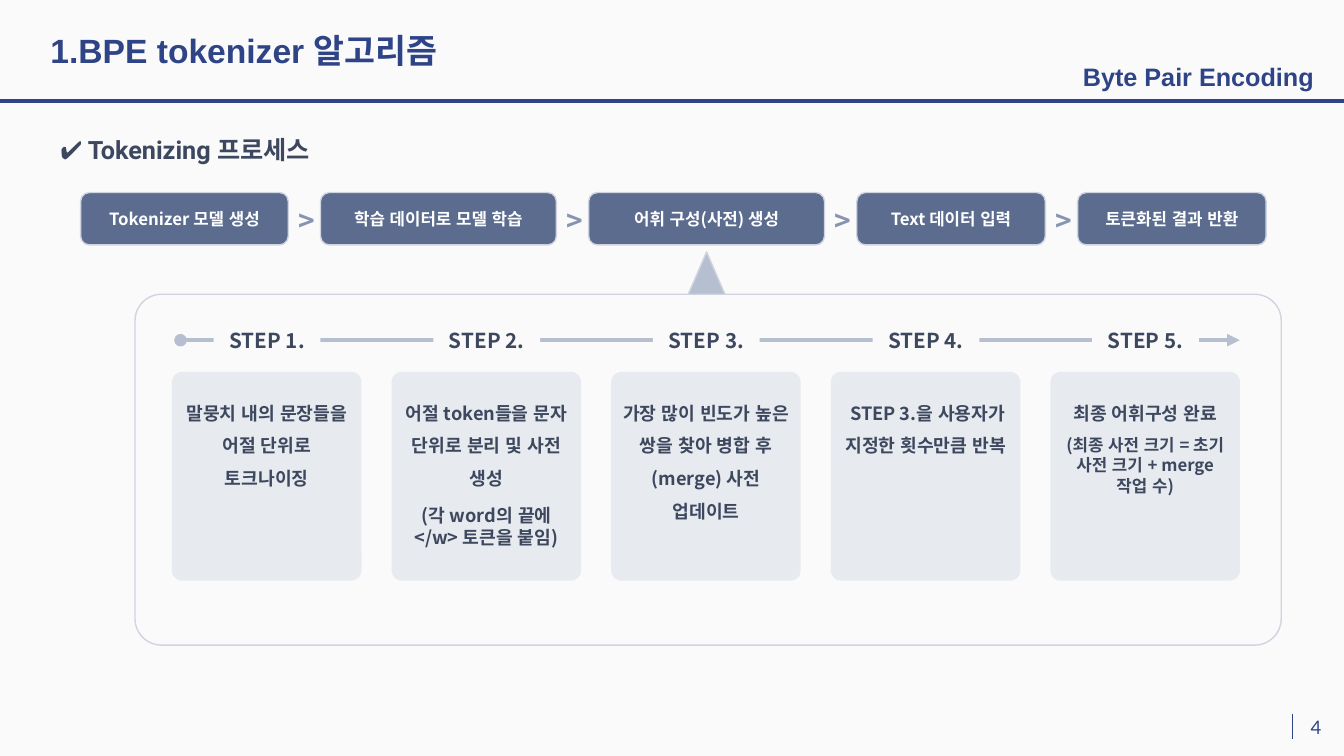
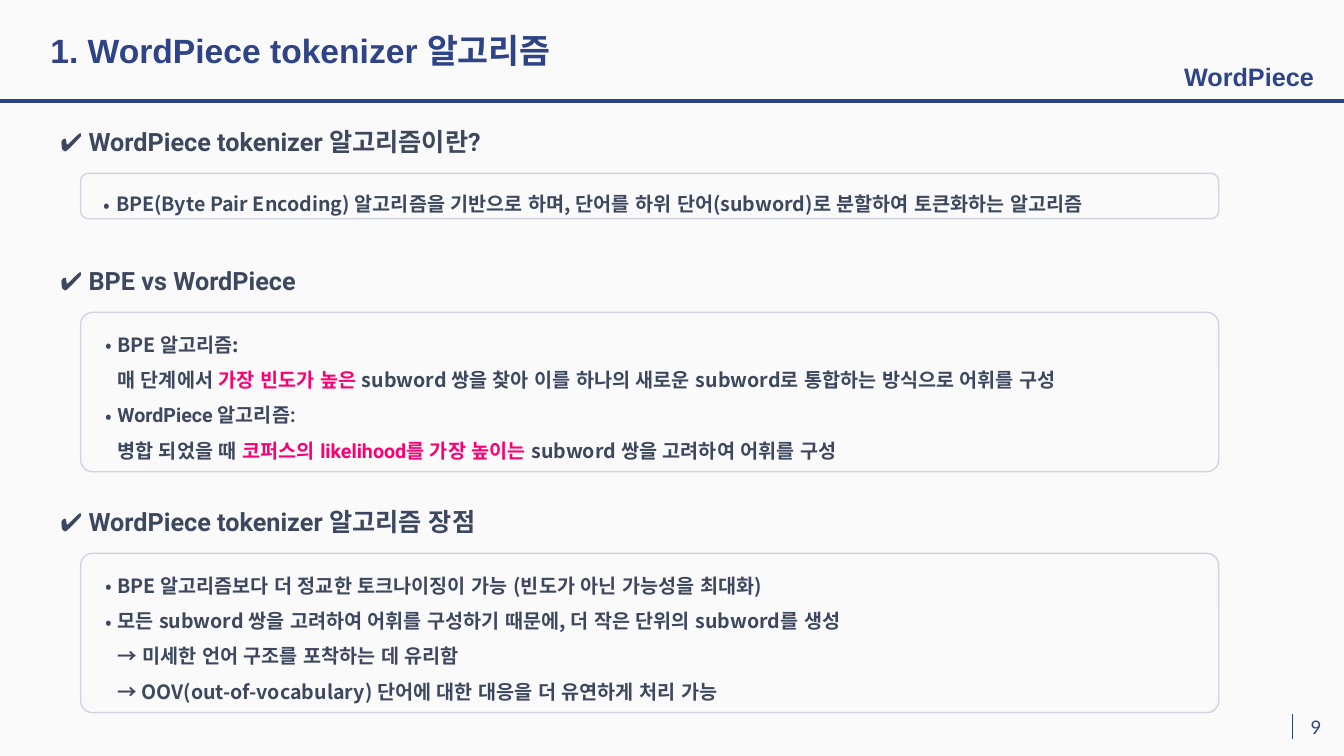
"""Builds two slides on the BPE and WordPiece tokenizer algorithms."""
from lxml.etree import SubElement
from pptx import Presentation
from pptx.dml.color import RGBColor
from pptx.enum.lang import MSO_LANGUAGE_ID as LANG
from pptx.enum.shapes import MSO_CONNECTOR as CONN, MSO_SHAPE as SHAPE
from pptx.enum.text import MSO_ANCHOR as ANCHOR, PP_ALIGN as ALIGN
from pptx.oxml.ns import qn
from pptx.util import Inches, Pt

NAVY, INK, SLATE, MIST = "2E4486", "3D485F", "5B6C8E", "B6BFD0"
EDGE, CARD, PAPER, PINK, WHITE = "CFD4E0", "E7EAEF", "FAFAFA", "FB0073", "FFFFFF"
SANS = "Noto Sans CJK KR"
rgb = RGBColor.from_string

prs = Presentation()
prs.slide_width, prs.slide_height = Inches(13.33), Inches(7.5)
COL, ROW = prs.slide_width / 100, prs.slide_height / 100
bg = prs.slide_master.background.fill
bg.solid()
bg.fore_color.rgb = rgb(PAPER)


def box(s, x, y, w, h, kind=None, fill=None, line=None, adj=None,
        ins=(0.1, 0.05, 0.1, 0.05), anchor=ANCHOR.TOP, wrap=True):
    at = int(x * COL), int(y * ROW), int(w * COL), int(h * ROW)
    if kind is None:
        sp = s.shapes.add_textbox(*at)
    else:
        sp = s.shapes.add_shape(kind, *at)
        sp.shadow.inherit = False
        if adj:
            sp.adjustments[0] = adj
        if fill:
            sp.fill.solid()
            sp.fill.fore_color.rgb = rgb(fill)
        else:
            sp.fill.background()
        if line:
            sp.line.color.rgb = rgb(line)
            sp.line.width = Pt(1)
        else:
            sp.line.fill.background()
    tf = sp.text_frame
    tf.word_wrap, tf.vertical_anchor = wrap, anchor
    tf.margin_left, tf.margin_top, tf.margin_right, tf.margin_bottom = map(Inches, ins)
    return tf


def say(tf, runs, size, color=INK, font=SANS, bold=True, align=ALIGN.LEFT,
        spacing=1.0, before=0):
    p = tf.paragraphs[0]
    if p.runs:
        p = tf.add_paragraph()
    p.alignment, p.line_spacing, p.space_before = align, spacing, Pt(before)
    for text, *style in runs:
        run_color, run_font = (style + [color, font][len(style):])
        r = p.add_run()
        r.text = text
        f = r.font
        f.size, f.bold, f.name, f.language_id = Pt(size), bold, run_font, LANG.KOREAN
        f.color.rgb = rgb(run_color)
        SubElement(r._r.get_or_add_rPr(), qn("a:ea"), typeface=SANS)
    return p


pages = [
    ("1.BPE tokenizer 알고리즘", "Byte Pair Encoding", "4",
     [(17.07, "✔ Tokenizing 프로세스")]),
    ("1. WordPiece tokenizer 알고리즘", "WordPiece", "9",
     [(16, "✔ WordPiece tokenizer 알고리즘이란?"),
      (34.4, "✔ BPE vs WordPiece"),
      (66.27, "✔ WordPiece tokenizer 알고리즘 장점")]),
]
rules = [(0, 13.33, 100, 13.33, 3), (96.2, 94.4, 96.2, 97.73, 0.75)]

for title, topic, number, headings in pages:
    s = prs.slides.add_slide(prs.slide_layouts[6])
    for x1, y1, x2, y2, width in rules:
        ln = s.shapes.add_connector(CONN.STRAIGHT, int(x1 * COL), int(y1 * ROW),
                                    int(x2 * COL), int(y2 * ROW)).line
        ln.color.rgb, ln.width = rgb(NAVY), Pt(width)
    tf = box(s, 94.7, 92.4, 4.6, 7.6, ins=(0.13,) * 4, anchor=ANCHOR.MIDDLE)
    say(tf, [(number,)], 13.3, NAVY, "Lato", False, ALIGN.RIGHT)
    tf = box(s, 3.75, 0.4, 44.3, 12.5, ins=(0,) * 4, anchor=ANCHOR.MIDDLE)
    say(tf, [(title,)], 24, NAVY, "Arial")
    tf = box(s, 78.5, 7.47, 20, 5.33)
    say(tf, [(topic,)], 18, NAVY, "Arial", align=ALIGN.RIGHT)
    for y, heading in headings:
        say(box(s, 3.75, y, 49.7, 5.33), [(heading,)], 18, font="Roboto")

process, compare = prs.slides

stages = [("Tokenizer 모델 생성", 15.45), ("학습 데이터로 모델 학습", 17.55),
          ("어휘 구성(사전) 생성", 17.55), ("Text 데이터 입력", 14.03),
          ("토큰화된 결과 반환", 14.03)]
x, gap = 6, 2.4
for i, (label, w) in enumerate(stages):
    if i:
        tf = box(process, x - gap, 26.27, gap, 5.87, wrap=False)
        say(tf, [(">",)], 20, "8694B1", align=ALIGN.CENTER)
    tf = box(process, x, 25.47, w, 6.93, SHAPE.FLOWCHART_ALTERNATE_PROCESS,
             SLATE, EDGE, anchor=ANCHOR.MIDDLE)
    say(tf, [(label,)], 12, WHITE, align=ALIGN.CENTER)
    x += w + gap

box(process, 50.63, 33.33, 3.9, 8, SHAPE.ISOSCELES_TRIANGLE, MIST, EDGE)
box(process, 10.05, 38.93, 85.28, 46.4, SHAPE.ROUNDED_RECTANGLE, PAPER, EDGE, 0.075)
ln = process.shapes.add_connector(CONN.STRAIGHT, int(13.43 * COL), int(45 * ROW),
                                  int(92.25 * COL), int(45 * ROW)).line
ln.color.rgb, ln.width = rgb(MIST), Pt(3)
for tag, end in (("a:headEnd", "oval"), ("a:tailEnd", "triangle")):
    SubElement(ln._ln, qn(tag), type=end)

steps = [
    [("말뭉치 내의 문장들을 어절 단위로 토크나이징", 13, 1.5, 0)],
    [("어절 token들을 문자 단위로 분리 및 사전 생성", 13, 1.5, 0),
     ("(각 word의 끝에 </w> 토큰을 붙임)", 13, 1, 11)],
    [("가장 많이 빈도가 높은 쌍을 찾아 병합 후(merge) 사전 업데이트", 13, 1.5, 0)],
    [(" STEP 3.을 사용자가 지정한 횟수만큼 반복", 13, 1.5, 0)],
    [("최종 어휘구성 완료", 13, 1.5, 0),
     ("(최종 사전 크기 = 초기 사전 크기 + merge 작업 수)", 12, 1, 8)],
]
for i, lines in enumerate(steps):
    x = 12.8 + i * 16.34
    tf = box(process, x, 49.2, 14.1, 27.6, SHAPE.ROUNDED_RECTANGLE, CARD, adj=0.053,
             ins=(0.08, 0.16, 0.08, 0.05))
    for text, size, spacing, before in lines:
        say(tf, [(text,)], size, align=ALIGN.CENTER, spacing=spacing, before=before)
    tf = box(process, x + 3.1, 42.67, 7.95, 4.67, SHAPE.RECTANGLE, PAPER)
    say(tf, [(f"STEP {i + 1}.",)], 14.7, align=ALIGN.CENTER)

panels = [
    (22.93, 6, 0.162, [
        (True, [("BPE(Byte Pair Encoding) 알고리즘을 기반으로 하며, 단어를 하위 단어(subword)로 "
                 "분할하여 토큰화하는 알고리즘",)])]),
    (41.33, 21.07, 0.075, [
        (True, [("BPE 알고리즘:",)]),
        (False, [("매 단계에서 ",), ("가장 빈도가 높은 ", PINK),
                 ("subword 쌍을 찾아 이를 하나의 새로운 subword로 통합하는 방식으로 "
                  "어휘를 구성",)]),
        (True, [("WordPiece 알고리즘:", INK, "Roboto")]),
        (False, [("병합 되었을 때 ", INK, "Roboto"),
                 ("코퍼스의 likelihood를 가장 높이는 ", PINK, "Roboto"),
                 ("subword",), (" 쌍을 고려하여 어휘를 구성", INK, "Roboto")])]),
    (73.2, 21.07, 0.075, [
        (True, [("BPE 알고리즘보다 더 정교한 토크나이징이 가능 (빈도가 아닌 가능성을 최대화)",)]),
        (True, [("모든 subword 쌍을 고려하여 어휘를 구성하기 때문에, 더 작은 단위의 "
                 "subword를 생성",)]),
        (False, [("→ 미세한 언어 구조를 포착하는 데 유리함",)]),
        (False, [("→ OOV(out-of-vocabulary) 단어에 대한 대응을 더 유연하게 처리 가능",)])]),
]
for y, h, adj, lines in panels:
    tf = box(compare, 6, y, 84.68, h, SHAPE.ROUNDED_RECTANGLE, line=EDGE, adj=adj,
             ins=(0.21, 0.05, 0.1, 0.05))
    for bulleted, runs in lines:
        pPr = say(tf, runs, 14, spacing=1.5)._p.get_or_add_pPr()
        hang = Inches(0.12)
        pPr.set("marL", str(hang))
        if bulleted:
            pPr.set("indent", str(-hang))
            SubElement(pPr, qn("a:buFont"), typeface=SANS)
            SubElement(pPr, qn("a:buChar"), char="•")

for s in prs.slides:
    for cxn in s.shapes._spTree.findall(qn("p:cxnSp")):
        SubElement(cxn.spPr, qn("a:effectLst"))

prs.save("out.pptx")
